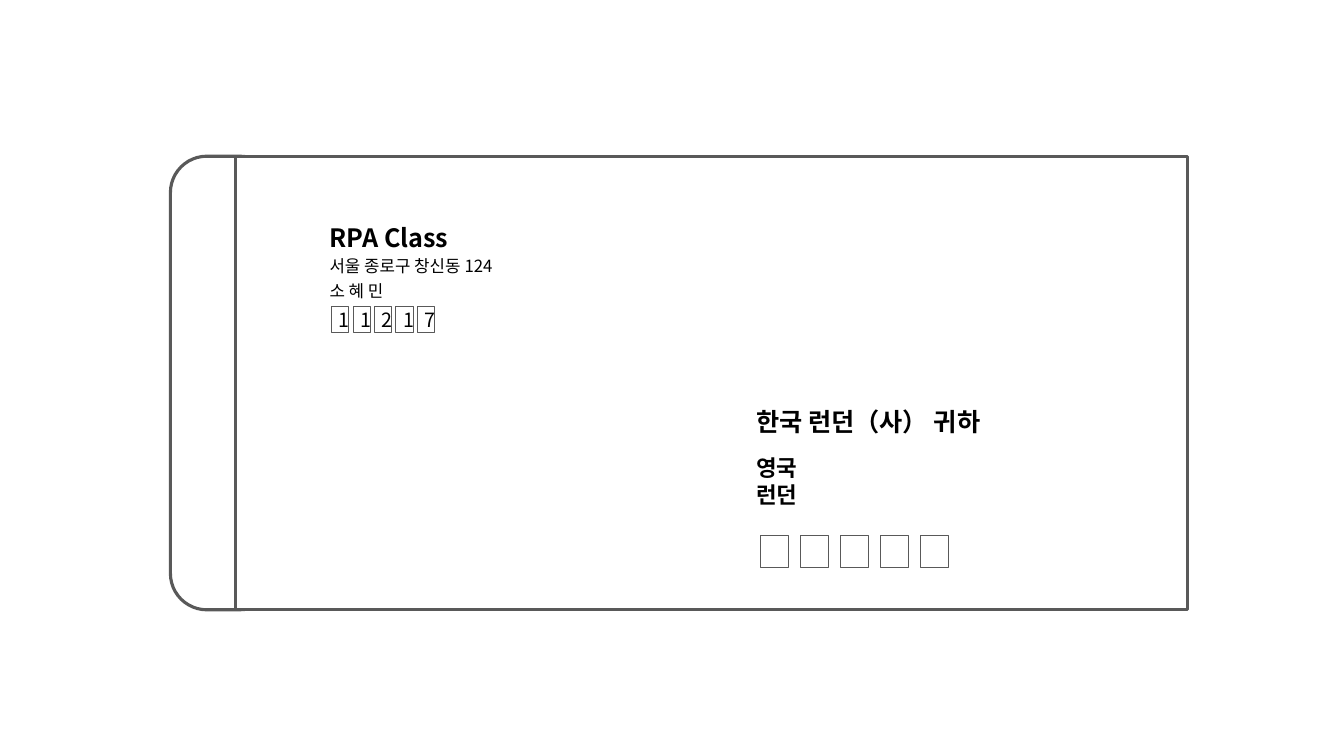
from dataclasses import dataclass

from lxml import etree
from pptx import Presentation
from pptx.dml.color import RGBColor
from pptx.enum import shapes, text
from pptx.oxml import ns
from pptx.util import Inches, Pt


@dataclass(frozen=True)
class Theme:
    font: str = "Noto Sans CJK KR"
    ink: RGBColor = RGBColor(0x00, 0x00, 0x00)
    outline: RGBColor = RGBColor(0x59, 0x59, 0x59)
    paper: RGBColor = RGBColor(0xFF, 0xFF, 0xFF)
    name_size: int = 18
    place_size: int = 16
    digit_size: int = 14
    detail_size: int = 12
    envelope_line: float = 2.25
    box_line: float = 0.75


THEME = Theme()


@dataclass(frozen=True)
class Box:
    left: float
    top: float
    width: float
    height: float

    def lengths(self):
        return [Inches(n) for n in (self.left, self.top, self.width, self.height)]


@dataclass(frozen=True)
class Label:
    wording: str
    box: Box
    size: int
    bold: bool = False
    wrap: bool = True


@dataclass(frozen=True)
class PostcodeRow:
    first: Box
    last_left: float
    digits: tuple[str, ...]


SENDER_NAME = Label("RPA Class", Box(3.17, 2.16, 1.38, 0.4), THEME.name_size, True, False)
ADDRESS_LABELS = [
    Label("서울 종로구 창신동 124", Box(3.17, 2.49, 2.02, 0.3), THEME.detail_size, wrap=False),
    Label("소 혜 민", Box(3.17, 2.74, 1.14, 0.3), THEME.detail_size),
    Label("한국 런던（사） 귀하", Box(7.4, 3.98, 4.25, 0.5), THEME.name_size, True),
    Label("영국\v런던", Box(7.4, 4.46, 4.38, 0.64), THEME.place_size, True),
]
POSTCODES = [
    PostcodeRow(Box(3.29, 3.04, 0.17, 0.26), 4.14, tuple("11217")),
    PostcodeRow(Box(7.54, 5.31, 0.28, 0.32), 9.13, ("",) * 5),
]


def format_paragraph(paragraph, size: int, bold: bool, alignment) -> None:
    """Set the type for both Latin and Korean letters."""
    paragraph.alignment = alignment
    font = paragraph.font
    font.size, font.bold, font.name = Pt(size), bold, THEME.font
    font.color.rgb = THEME.ink
    properties = paragraph._p.pPr.find(ns.qn("a:defRPr"))
    latin = properties.find(ns.qn("a:latin"))
    east_asian = etree.Element(ns.qn("a:ea"), typeface=THEME.font)
    latin.addnext(east_asian)


def fill_label(shape, label: Label) -> None:
    shape.left, shape.top, shape.width, shape.height = label.box.lengths()
    frame = shape.text_frame
    frame.text = label.wording
    frame.word_wrap = label.wrap
    frame.auto_size = text.MSO_AUTO_SIZE.SHAPE_TO_FIT_TEXT
    frame.vertical_anchor = text.MSO_ANCHOR.TOP
    paragraph = frame.paragraphs[0]
    paragraph.line_spacing = 1.0
    format_paragraph(paragraph, label.size, label.bold, text.PP_ALIGN.LEFT)


def add_outline(slide, kind, box: Box, weight: float, fill: RGBColor | None = None):
    shape = slide.shapes.add_shape(kind, *box.lengths())
    shape.shadow.inherit = False
    shape.line.color.rgb = THEME.outline
    shape.line.width = Pt(weight)
    if fill is None:
        shape.fill.background()
    else:
        shape.fill.solid()
        shape.fill.fore_color.rgb = fill
    return shape


def add_envelope(slide) -> None:
    flap = add_outline(slide, shapes.MSO_SHAPE.ROUNDED_RECTANGLE,
                       Box(1.69, 1.55, 1.05, 4.5), THEME.envelope_line)
    flap.adjustments[0] = 0.344
    add_outline(slide, shapes.MSO_SHAPE.RECTANGLE,
                Box(2.34, 1.55, 9.44, 4.5), THEME.envelope_line, THEME.paper)


def add_postcode(slide, row: PostcodeRow) -> None:
    first = row.first
    pitch = (row.last_left - first.left) / (len(row.digits) - 1)
    for index, digit in enumerate(row.digits):
        box = Box(first.left + index * pitch, first.top, first.width, first.height)
        shape = add_outline(slide, shapes.MSO_SHAPE.RECTANGLE, box, THEME.box_line)
        if digit:
            shape.text_frame.text = digit
            format_paragraph(shape.text_frame.paragraphs[0], THEME.digit_size,
                             False, text.PP_ALIGN.CENTER)


def main() -> None:
    presentation = Presentation()
    presentation.slide_width, presentation.slide_height = Inches(13.33), Inches(7.5)
    slide = presentation.slides.add_slide(presentation.slide_layouts.get_by_name("Title Only"))
    add_envelope(slide)
    title = slide.shapes.title
    fill_label(title, SENDER_NAME)
    slide.shapes._spTree.append(title._element)  # in front of the envelope
    for label in ADDRESS_LABELS:
        fill_label(slide.shapes.add_textbox(*label.box.lengths()), label)
    for row in POSTCODES:
        add_postcode(slide, row)
    presentation.save("out.pptx")


if __name__ == "__main__":
    main()
